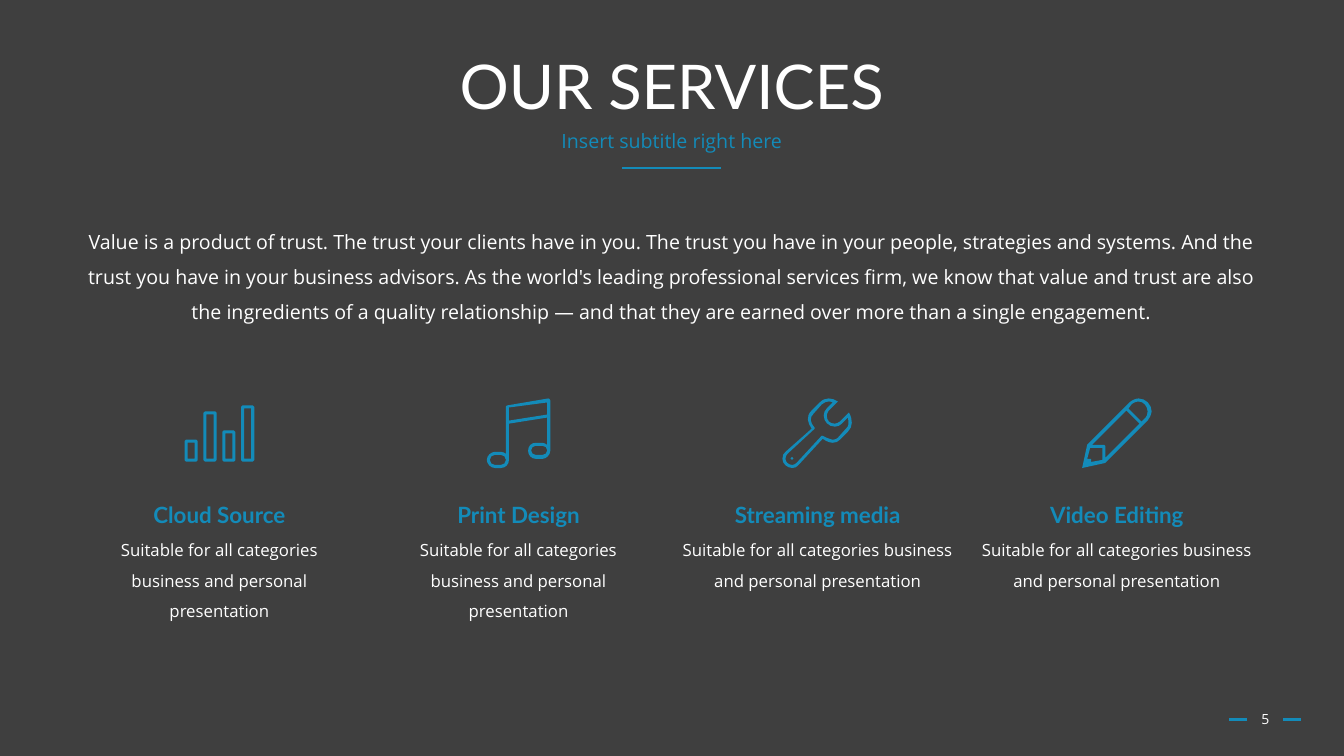
from lxml.etree import SubElement
from pptx import Presentation
from pptx.dml.color import RGBColor
from pptx.enum.shapes import MSO_CONNECTOR
from pptx.enum.text import MSO_ANCHOR, PP_ALIGN
from pptx.oxml.ns import qn
from pptx.util import Pt

DARK = RGBColor(0x3F, 0x3F, 0x3F)
BLUE = RGBColor(0x13, 0x8B, 0xB9)
WHITE = RGBColor(0xFF, 0xFF, 0xFF)
HEADING_FONT, BODY_FONT = "Lato", "Open Sans"

ICON_UNIT = 0.72  # points per unit of the icon grid
FIRST_CENTER, COLUMN_STEP = 156.8, 213.8

INTRO = (
    "Value is a product of trust. The trust your clients have in you. "
    "The trust you have in your people, strategies and systems. "
    "And the trust you have in your business advisors. "
    "As the world's leading professional services firm, we know that value and trust "
    "are also the ingredients of a quality relationship — and that they are earned "
    "over more than a single engagement."
)
DESCRIPTION = "Suitable for all categories business and personal presentation"


# Icon outlines: a pair is a corner, six numbers are a Bézier curve

def rounded_box(left, top, width, height, radius):
    right, bottom = left + width, top + height
    k = radius * 0.45
    return [
        (left + radius, top), (right - radius, top),
        (right - k, top, right, top + k, right, top + radius),
        (right, bottom - radius),
        (right, bottom - k, right - k, bottom, right - radius, bottom),
        (left + radius, bottom),
        (left + k, bottom, left, bottom - k, left, bottom - radius),
        (left, top + radius),
        (left, top + k, left + k, top, left + radius, top),
    ]


def bar_chart_icon():
    outlines = []
    for index, top in enumerate((34, 6, 25, 0)):
        left = 18.7 * index
        outlines.append(rounded_box(left, top, 13, 56 - top, 1.5))
        outlines.append([(left + 3, top + 3), (left + 10, top + 3),
                         (left + 10, 53), (left + 3, 53)])
    return outlines


def music_icon():
    notes = [
        (61, 0), (20, 7), (19, 8), (19, 55), (18, 54, 16, 53, 14, 53), (8, 53),
        (4, 53, 0, 57, 0, 61), (0, 65, 4, 69, 8, 69), (14, 69),
        (19, 69, 22, 65, 22, 61), (22, 25), (60, 19), (60, 46),
        (58, 45, 57, 44, 55, 44), (49, 44), (44, 44, 41, 47, 41, 52),
        (41, 56, 44, 60, 49, 60), (55, 60), (59, 60, 63, 56, 63, 52),
        (63, 2), (63, 1, 62, 0, 61, 0),
    ]
    beam = [(60, 16), (22, 22), (22, 9), (60, 4)]
    return [notes, beam, rounded_box(3, 56, 16, 10, 5), rounded_box(44, 47, 16, 9, 4.5)]


def wrench_icon():
    outside = [
        (55, 3), (52, 1, 49, 0, 46, 0), (43, 0, 40, 1, 37, 4), (29, 12),
        (23, 18, 25, 24, 29, 30), (3, 53), (1, 54, 0, 57, 0, 60),
        (0, 65, 5, 69, 10, 69), (12, 69, 15, 68, 16, 66), (40, 40),
        (45, 44, 50, 44, 50, 44), (53, 44, 55, 43, 57, 41), (65, 33),
        (70, 28, 70, 21, 66, 14), (57, 23), (55, 24, 54, 25, 52, 25),
        (47, 25, 44, 22, 44, 17), (44, 15, 45, 14, 46, 12),
    ]
    inside = [
        (44, 10), (42, 12, 41, 14, 41, 17), (41, 23, 46, 28, 52, 28),
        (55, 28, 57, 27, 59, 25), (65, 19), (66, 24, 66, 28, 63, 30), (55, 39),
        (54, 40, 52, 41, 50, 41), (50, 41, 45, 40, 40, 37),
        (39, 37, 38, 37, 38, 38), (14, 64), (13, 65, 11, 66, 10, 66),
        (6, 66, 3, 63, 3, 60), (3, 58, 4, 56, 5, 55), (31, 31), (32, 30), (32, 29),
        (27, 23, 27, 19, 31, 15), (39, 6), (41, 4, 44, 3, 46, 3), (47, 3, 48, 3, 50, 4),
    ]
    return [outside, inside, rounded_box(8, 58, 3, 3, 1.5)]


def pencil_icon():
    outside = [
        (56, 0), (53, 0, 49, 2, 47, 4), (5, 46), (0, 69), (23, 64), (65, 22),
        (67, 19, 69, 16, 69, 13), (69, 6, 63, 0, 56, 0),
    ]
    tip = [(20, 61), (9, 63), (9, 60), (5, 60), (8, 49), (20, 49)]
    body = [(23, 59), (23, 47), (22, 46), (10, 46), (44, 12), (57, 25)]
    cap = [
        (63, 19), (59, 23), (46, 10), (49, 6), (49, 6, 52, 3, 56, 3),
        (61, 3, 65, 8, 65, 13), (65, 16, 64, 18, 63, 19),
    ]
    return [outside, tip, body, cap]


# Element helpers

def add_icon(slide, outlines, center, top, width):
    builder = slide.shapes.build_freeform()
    for outline in outlines:
        points = [(Pt(node[i] * ICON_UNIT), Pt(node[i + 1] * ICON_UNIT))
                  for node in outline for i in range(0, len(node), 2)]
        builder.move_to(*points[0])
        builder.add_line_segments(points[1:])
    shape = builder.convert_to_shape(Pt(center - width * ICON_UNIT / 2), Pt(top))
    curve_segments(shape, outlines)
    shape.shadow.inherit = False
    shape.fill.solid()
    shape.fill.fore_color.rgb = BLUE
    shape.line.fill.background()


def curve_segments(shape, outlines):
    """Join the three line segments of each Bézier node into one curve."""
    segments = iter(list(shape._element.iter(qn("a:lnTo"))))
    for outline in outlines:
        for node in outline[1:]:
            segment = next(segments)
            if len(node) == 2:
                continue
            segment.tag = qn("a:cubicBezTo")
            for _ in range(2):
                extra = next(segments)
                segment.append(extra[0])
                extra.getparent().remove(extra)


def add_text(slide, text, box, size, font=BODY_FONT, color=WHITE, bold=False,
             spacing=1.0, anchor=MSO_ANCHOR.TOP, wrap=True):
    frame = slide.shapes.add_textbox(*map(Pt, box)).text_frame
    frame.word_wrap = wrap
    frame.vertical_anchor = anchor
    paragraph = frame.paragraphs[0]
    paragraph.alignment = PP_ALIGN.CENTER
    paragraph.line_spacing = spacing
    run = paragraph.add_run()
    run.text = text
    run.font.name = font
    run.font.size = Pt(size)
    run.font.bold = bold
    run.font.color.rgb = color


def add_rule(slide, left, right, y):
    line = slide.shapes.add_connector(
        MSO_CONNECTOR.STRAIGHT, Pt(left), Pt(y), Pt(right), Pt(y))
    line.line.color.rgb = BLUE
    line.line.width = Pt(1.75)
    SubElement(line._element.spPr, qn("a:effectLst"))


def add_service(slide, center, title, title_width, text_width, text_height):
    add_text(slide, title, (center - title_width / 2, 354.6, title_width, 26.6), 16,
             HEADING_FONT, BLUE, bold=True, wrap=False)
    add_text(slide, DESCRIPTION, (center - text_width / 2, 375.1, text_width, text_height),
             12, spacing=1.5)


def main():
    presentation = Presentation()
    presentation.slide_width, presentation.slide_height = Pt(960.48), Pt(540)
    slide = presentation.slides.add_slide(presentation.slide_layouts[6])
    slide.background.fill.solid()
    slide.background.fill.fore_color.rgb = DARK

    # Header
    add_rule(slide, 444.8, 515.6, 120.2)
    add_text(slide, "OUR SERVICES", (66.2, 28.8, 828, 70.6), 44, HEADING_FONT,
             spacing=0.9, anchor=MSO_ANCHOR.MIDDLE)
    add_text(slide, "Insert subtitle right here", (66.2, 90.7, 828, 28.8), 14,
             color=BLUE, spacing=0.9)
    add_text(slide, INTRO, (50.6, 152.2, 859, 100), 14, spacing=1.5)

    # Services: title, title width, text width, text height, icon, icon top, icon width
    services = [
        ("Cloud Source", 108.7, 196.6, 72, bar_chart_icon(), 289.5, 69),
        ("Print Design", 102.2, 192.2, 72, music_icon(), 284.6, 63),
        ("Streaming media", 133.2, 207.4, 50.4, wrench_icon(), 284.6, 70),
        ("Video Editing", 110.2, 207.4, 50.4, pencil_icon(), 284.6, 69),
    ]
    for index, (title, title_width, text_width, text_height, *icon) in enumerate(services):
        center = FIRST_CENTER + COLUMN_STEP * index
        add_service(slide, center, title, title_width, text_width, text_height)
        outlines, top, width = icon
        add_icon(slide, outlines, center, top, width)

    # Page number
    add_rule(slide, 878.6, 891.4, 513.8)
    add_rule(slide, 917.2, 929.8, 513.8)
    add_text(slide, "5", (883, 499.4, 42.5, 28.8), 10, anchor=MSO_ANCHOR.MIDDLE)

    presentation.save("out.pptx")


if __name__ == "__main__":
    main()
